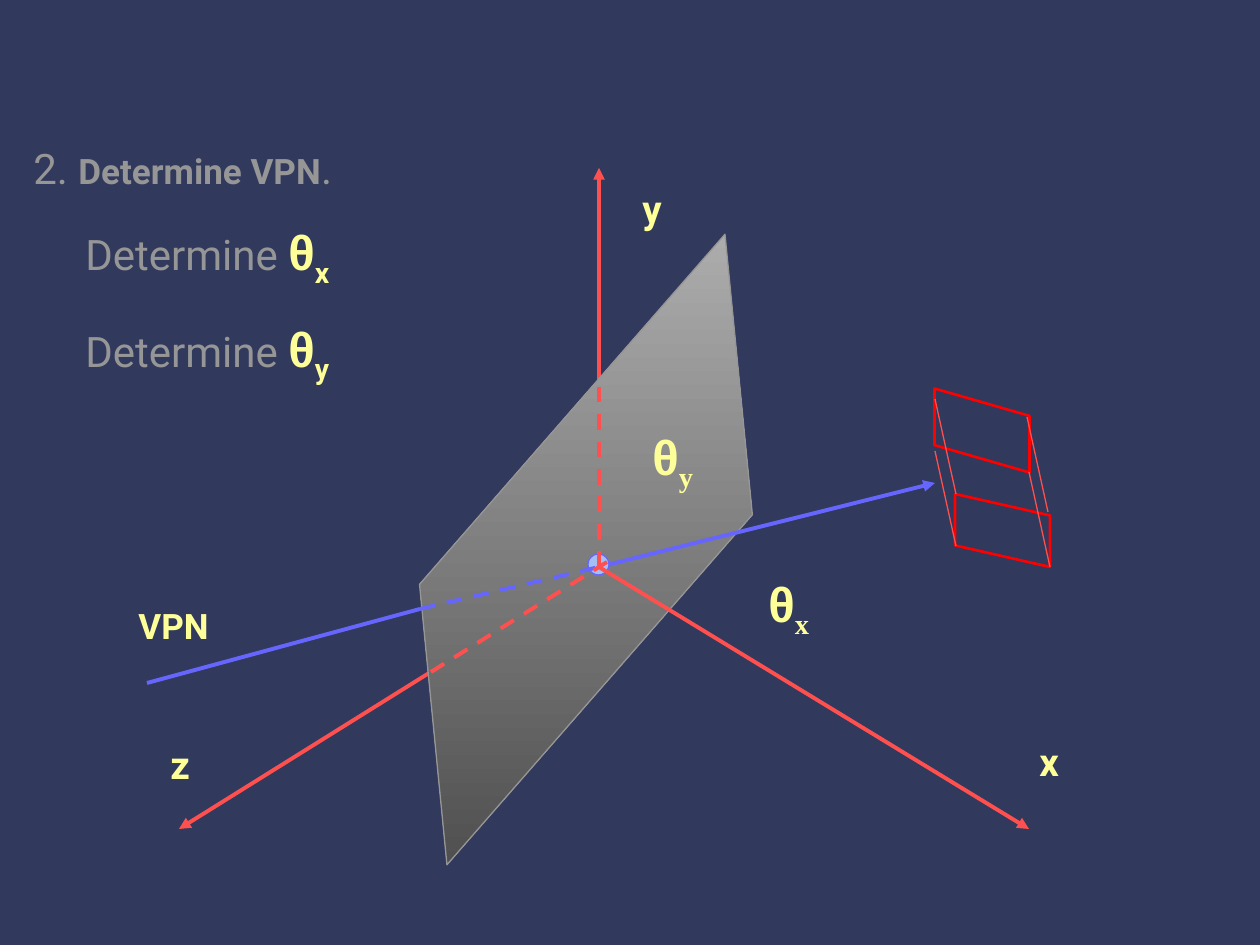
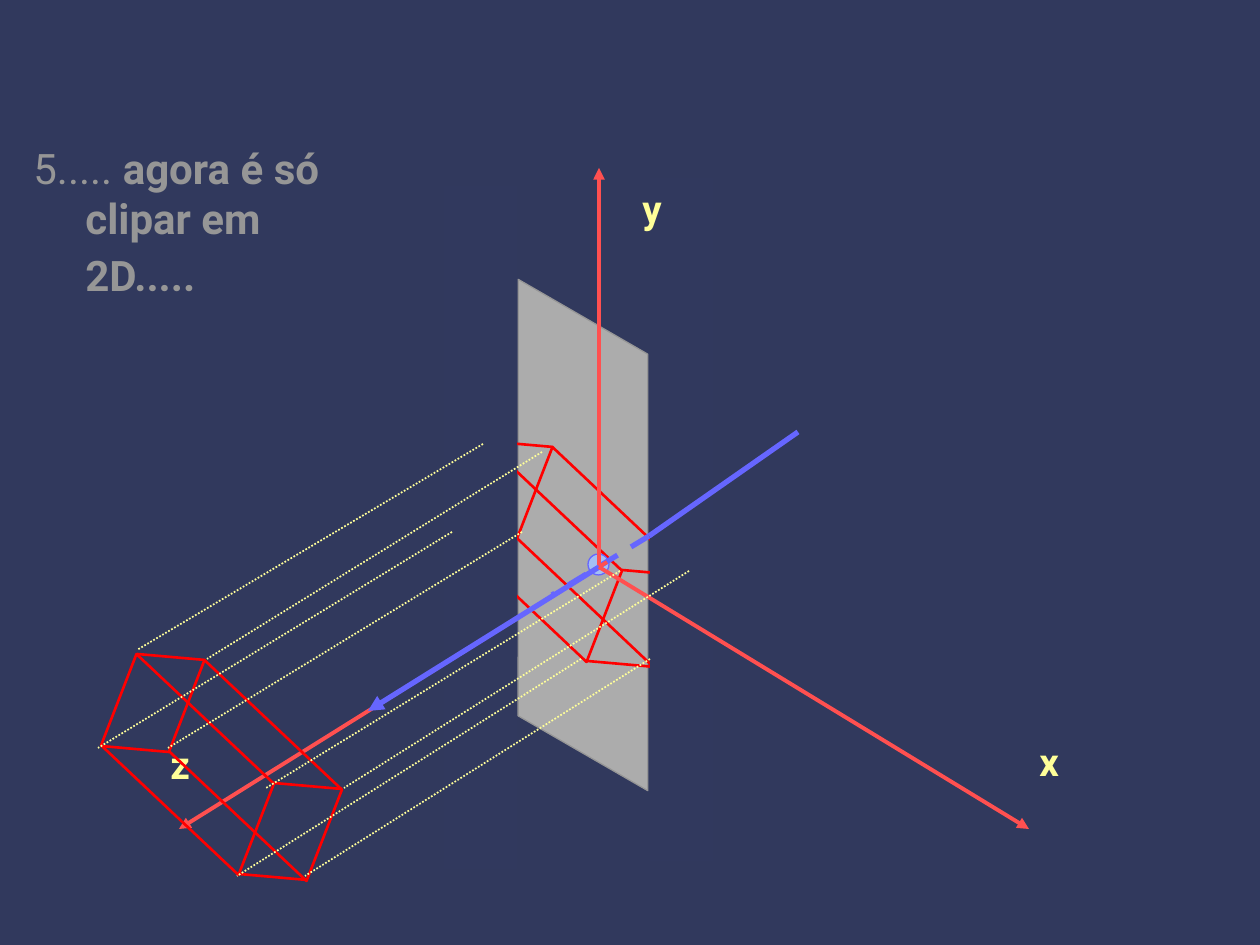
"""Build two slides on view-plane normals and 2D clipping."""
import lxml.etree
import pptx
import pptx.dml.color
import pptx.enum.dml
import pptx.enum.shapes
import pptx.enum.text
import pptx.oxml.ns
import pptx.util

SCALE = 914400 / 126
HUES = {
    "back": "31395D", "mask": "31395E", "axis": "FF5050", "normal": "6666FF",
    "ball": "A4BFF4", "plane": "ACACAC", "shade": "505050", "gray": "969696",
    "label": "FFFF99", "cube": "FF0000",
}
KINDS = pptx.enum.shapes.MSO_SHAPE
DASH = pptx.enum.dml.MSO_LINE.DASH
DOTS = pptx.enum.dml.MSO_LINE.ROUND_DOT
ORIGIN = (599, 567)
TIPS = {"x": (1029, 829), "y": (599, 168), "z": (179, 829)}
TAGS = {"x": (1027, 732, 49, 59), "y": (630, 179, 48, 59), "z": (158, 735, 45, 59)}
HIDDEN = [(ORIGIN, (599, 378)), ((607, 562), (431, 672))]
CUBE_STEP = (68, 6)
CUBE_EDGES = [(34, -23), (171, 106), (-2, 69), (136, 197)]
RAYS = [
    ((483, 444), (137, 650)), ((542, 452), (207, 659)),
    ((522, 532), (168, 748)), ((452, 532), (98, 748)),
    ((689, 571), (344, 788)), ((620, 571), (266, 788)),
    ((650, 659), (305, 876)), ((581, 659), (237, 876)),
]


def px(value):
    return pptx.util.Emu(round(value * SCALE))


def hue(name):
    return pptx.dml.color.RGBColor.from_string(HUES[name])


def add_xml(parent, tag, **attrs):
    node = lxml.etree.SubElement(parent, pptx.oxml.ns.qn(tag))
    for key, value in attrs.items():
        node.set(key, value)
    return node


def draw_line(pad, start, end, color, width=2.25, dash=None, arrow=False):
    line = pad.add_connector(
        pptx.enum.shapes.MSO_CONNECTOR.STRAIGHT, *map(px, start + end))
    line.line.color.rgb = hue(color)
    line.line.width = pptx.util.Pt(width)
    if dash:
        line.line.dash_style = dash
    frame = line._element.spPr
    if arrow:
        add_xml(frame.find(pptx.oxml.ns.qn("a:ln")), "a:tailEnd", type="triangle")
    add_xml(frame, "a:effectLst")


def draw_shape(pad, kind, box, fill=None, edge=None, width=0.75, turn=0, slant=None):
    shape = pad.add_shape(kind, *map(px, box))
    shape.shadow.inherit = False
    shape.rotation = turn
    if slant is not None:
        shape.adjustments[0] = slant
    if fill:
        shape.fill.solid()
        shape.fill.fore_color.rgb = hue(fill)
    else:
        shape.fill.background()
    if edge:
        shape.line.color.rgb = hue(edge)
        shape.line.width = pptx.util.Pt(width)
    else:
        shape.line.fill.background()
    return shape


def shade(shape, *colors):
    shape.fill.gradient()
    shape.fill.gradient_angle = 270
    for stop, color in zip(shape.fill.gradient_stops, colors):
        stop.color.rgb = hue(color)
    grad = shape._element.spPr.find(pptx.oxml.ns.qn("a:gradFill"))
    grad.set("rotWithShape", "0")


def part(text, size=24, color="gray", bold=False, font="Roboto", sub=False):
    return text, size, color, bold, font, sub


def theta(axis, font):
    return [part("θ", 28, "label", True, "Arial"),
            part(axis, 28, "label", True, font, True)]


def write(pad, box, paras, wrap=False):
    frame = pad.add_textbox(*map(px, box)).text_frame
    frame.word_wrap = wrap
    frame.auto_size = pptx.enum.text.MSO_AUTO_SIZE.SHAPE_TO_FIT_TEXT
    for i, parts in enumerate(paras):
        para = frame.add_paragraph() if i else frame.paragraphs[0]
        props = para._p.get_or_add_pPr()
        if wrap:
            props.set("marL", str(px(52)))
            props.set("indent", str(px(-52)))
        add_xml(add_xml(props, "a:spcBef"), "a:spcPct", val="60000")
        for text, size, color, bold, font, sub in parts:
            run = para.add_run()
            run.text = text
            run.font.size = pptx.util.Pt(size)
            run.font.name = font
            run.font.bold = bold
            run.font.color.rgb = hue(color)
            if sub:
                run._r.get_or_add_rPr().set("baseline", "-25000")


def draw_axis(pad, name):
    draw_line(pad, ORIGIN, TIPS[name], "axis", arrow=True)


def tag_axis(pad, name):
    write(pad, TAGS[name], [[part(name, 22, "label", True)]])


def draw_ball(pad):
    draw_shape(pad, KINDS.OVAL, (588, 554, 21, 21), "ball", "normal")


def hide_axes(pad):
    for start, end in HIDDEN:
        draw_line(pad, start, end, "axis", dash=DASH)


def draw_cube(slide, left, top):
    pad = slide.shapes.add_group_shape().shapes
    dx, dy = CUBE_STEP
    for i in range(2):
        draw_shape(pad, KINDS.PARALLELOGRAM, (left + i * dx, top + i * dy, 169, 175),
                   edge="cube", width=1.5, turn=111.2, slant=0.421)
    for x, y in CUBE_EDGES:
        start = (left + x, top + y)
        draw_line(pad, start, (start[0] + dx, start[1] + dy), "cube", 1.5)


def draw_box(slide):
    pad = slide.shapes.add_group_shape().shapes
    for box, slant in (((940, 383, 84, 95), 0.326), ((966, 483, 73, 95), 0.295)):
        draw_shape(pad, KINDS.PARALLELOGRAM, box, edge="cube", width=1.5,
                   turn=90, slant=slant)
    for x, y in ((1027, 417), (935, 451), (1029, 472), (935, 399)):
        draw_line(pad, (x, y), (x + 21, y + 95), "axis", 0.75)


def new_slide(deck):
    slide = deck.slides.add_slide(deck.slide_layouts[6])
    slide.background.fill.solid()
    slide.background.fill.fore_color.rgb = hue("back")
    return slide


def build_normal(deck):
    slide = new_slide(deck)
    pad = slide.shapes
    draw_axis(pad, "z")
    draw_axis(pad, "y")
    group = pad.add_group_shape().shapes
    plane = draw_shape(group, KINDS.PARALLELOGRAM, (257, 447, 658, 205),
                       "plane", "gray", turn=311.1, slant=0.943)
    shade(plane, "plane", "shade")
    draw_line(group, ORIGIN, (935, 483), "normal", arrow=True)
    draw_ball(group)
    draw_line(group, (420, 609), ORIGIN, "normal", dash=DASH)
    draw_line(group, (147, 683), (420, 609), "normal")
    draw_axis(pad, "x")
    for name in "xzy":
        tag_axis(pad, name)
    steps = [[part("2. "), part("Determine VPN", 20, bold=True), part(".")]]
    steps += [[part("\tDetermine ")] + theta(axis, "Roboto") for axis in "xy"]
    write(pad, (21, 136, 369, 251), steps, True)
    hide_axes(pad)
    for axis, spot in (("x", (756, 567)), ("y", (640, 420))):
        write(pad, spot + (68, 72), [theta(axis, "Times New Roman")])
    draw_box(slide)
    write(pad, (126, 598, 98, 54), [[part("VPN", 20, "label", True)]])


def build_clip(deck):
    slide = new_slide(deck)
    pad = slide.shapes
    plane = draw_shape(pad, KINDS.PARALLELOGRAM, (399, 346, 368, 378),
                       "plane", "gray", turn=30, slant=0.593)
    plane._element.spPr.xfrm.set("flipV", "1")
    draw_cube(slide, 451, 464)
    draw_shape(pad, KINDS.RECTANGLE, (444, 186, 73, 683), "mask")
    draw_axis(pad, "z")
    draw_axis(pad, "y")
    draw_ball(pad)
    draw_line(pad, (649, 536), (552, 595), "normal", 3, DASH)
    tag_axis(pad, "x")
    tag_axis(pad, "z")
    write(pad, (21, 136, 369, 174),
          [[part("5..... "), part("agora é só clipar em 2D.....", bold=True),
            part(" ", 28, bold=True)]], True)
    hide_axes(pad)
    draw_line(pad, ORIGIN, (368, 711), "normal", 3, arrow=True)
    draw_shape(pad, KINDS.RECTANGLE, (650, 178, 63, 683), "mask")
    draw_axis(pad, "x")
    draw_line(pad, (798, 432), (649, 536), "normal", 3)
    tag_axis(pad, "y")
    draw_cube(slide, 103, 677)
    group = pad.add_group_shape().shapes
    for start, end in RAYS:
        draw_line(group, start, end, "label", 1, DOTS)


def main():
    deck = pptx.Presentation()
    deck.slide_width, deck.slide_height = px(1260), px(945)
    build_normal(deck)
    build_clip(deck)
    deck.save("out.pptx")


if __name__ == "__main__":
    main()
